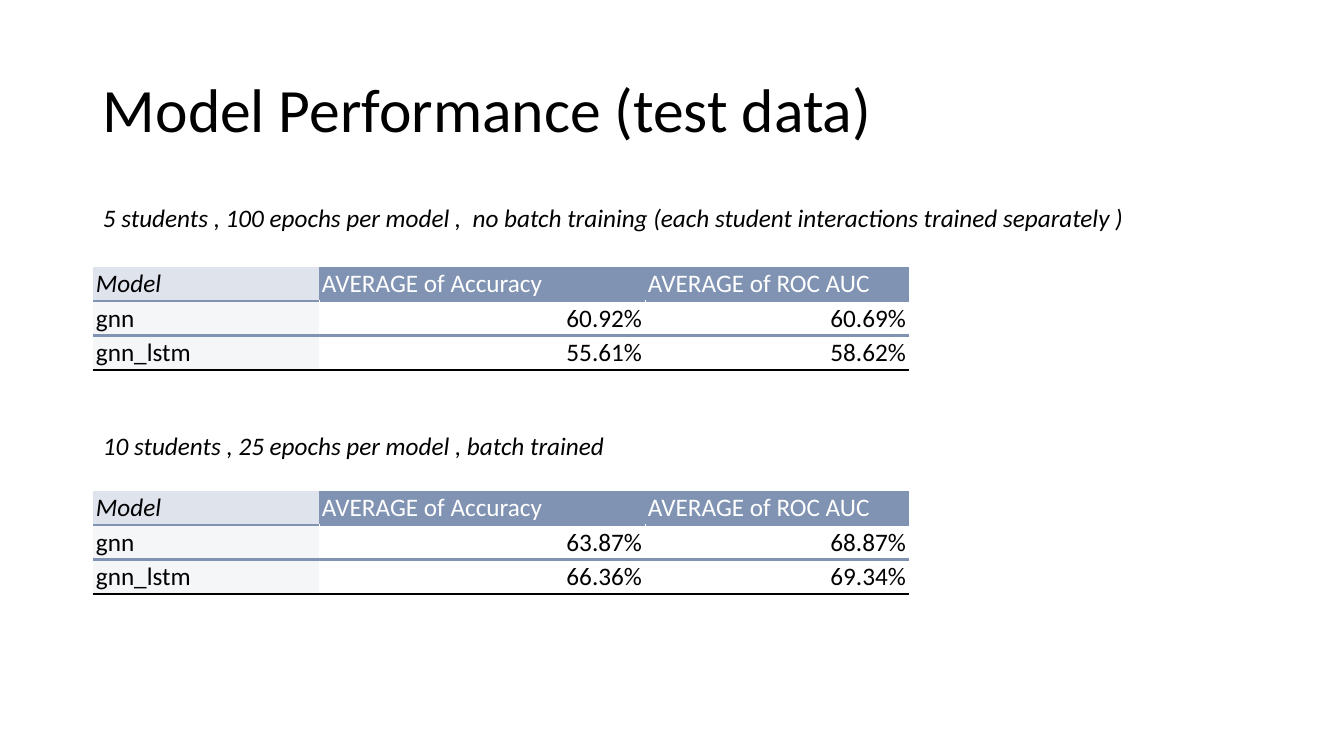
"""Build the slide comparing model performance on test data."""
from typing import NamedTuple

from lxml import etree
from pptx import Presentation
from pptx.dml.color import RGBColor
from pptx.enum.text import MSO_ANCHOR, PP_ALIGN
from pptx.oxml.ns import qn
from pptx.util import Emu, Pt

MIDDLE, TOP, BOTTOM = MSO_ANCHOR.MIDDLE, MSO_ANCHOR.TOP, MSO_ANCHOR.BOTTOM
LEFT, RIGHT = PP_ALIGN.LEFT, PP_ALIGN.RIGHT

FONT = "Calibri"
BLACK, WHITE = "000000", "FFFFFF"
HEADER, HEADER_LIGHT, MODEL_TINT = "8093B3", "DFE4EC", "F4F6F8"
NO_STYLE = "{2D5ABB26-0587-4C30-8999-92F81FD0307C}"

MARGIN = 93
COLUMN_WIDTHS = (226, 326, 264)
ROW_HEIGHT = 34
HEADINGS = ("Model", "AVERAGE of Accuracy", "AVERAGE of ROC AUC")


class Caption(NamedTuple):
    text: str
    top: int
    width: int
    height: int
    size: int
    italic: bool
    anchor: MSO_ANCHOR
    line_spacing: float


class Experiment(NamedTuple):
    setup: str
    setup_top: int
    results_top: int
    results: tuple[tuple[str, str, str], ...]


class Border(NamedTuple):
    side: str
    color: str
    points: float


EXPERIMENTS = (
    Experiment(
        "5 students , 100 epochs per model ,  no batch training "
        "(each student interactions trained separately )",
        197, 267,
        (("gnn", "60.92%", "60.69%"), ("gnn_lstm", "55.61%", "58.62%")),
    ),
    Experiment(
        "10 students , 25 epochs per model , batch trained",
        425, 491,
        (("gnn", "63.87%", "68.87%"), ("gnn_lstm", "66.36%", "69.34%")),
    ),
)


def px(pixels: int) -> Emu:
    return Emu(round(pixels * 914400 / 100.8))


def rgb(color: str) -> RGBColor:
    return RGBColor.from_string(color)


def style_font(paragraph, size: int, color: str, italic: bool) -> None:
    font = paragraph.font
    font.name, font.size, font.italic = FONT, Pt(size), italic
    font.color.rgb = rgb(color)


def add_caption(slide, caption: Caption) -> None:
    box = slide.shapes.add_textbox(
        px(MARGIN), px(caption.top), px(caption.width), px(caption.height))
    frame = box.text_frame
    frame.word_wrap = True
    frame.vertical_anchor = caption.anchor
    paragraph = frame.paragraphs[0]
    paragraph.text = caption.text
    paragraph.line_spacing = caption.line_spacing
    style_font(paragraph, caption.size, BLACK, caption.italic)


def add_border(cell, border: Border) -> None:
    properties = cell._tc.get_or_add_tcPr()
    line = etree.SubElement(properties, qn(f"a:ln{border.side}"),
                            w=str(int(Pt(border.points))))
    fill = etree.SubElement(line, qn("a:solidFill"))
    etree.SubElement(fill, qn("a:srgbClr"), val=border.color)


def cell_borders(row: int, column: int, last_row: int) -> list[Border]:
    borders = []
    if row > 0 and column < 2:
        borders.append(Border("R" if column == 0 else "L", WHITE, 0.6))
    if row == 1:
        borders.append(Border("T", HEADER, 1.8))
    if row == 0:
        borders.append(Border("B", HEADER, 1.8))
    elif row == last_row:
        borders.append(Border("B", BLACK, 1.8))
    return borders


def cell_fill(row: int, column: int) -> str:
    if row == 0:
        return HEADER_LIGHT if column == 0 else HEADER
    return MODEL_TINT if column == 0 else WHITE


def fill_cell(cell, text: str, row: int, column: int, last_row: int) -> None:
    cell.margin_left = cell.margin_right = px(3)
    cell.margin_top = cell.margin_bottom = px(2)
    cell.vertical_anchor = BOTTOM
    for border in cell_borders(row, column, last_row):
        add_border(cell, border)
    cell.fill.solid()
    cell.fill.fore_color.rgb = rgb(cell_fill(row, column))
    paragraph = cell.text_frame.paragraphs[0]
    paragraph.text = text
    paragraph.alignment = RIGHT if row and column else LEFT
    color = WHITE if row == 0 and column else BLACK
    style_font(paragraph, 18, color, row == column == 0)


def add_results(slide, experiment: Experiment) -> None:
    rows = (HEADINGS, *experiment.results)
    table = slide.shapes.add_table(
        len(rows), len(HEADINGS), px(MARGIN), px(experiment.results_top),
        px(sum(COLUMN_WIDTHS)), px(ROW_HEIGHT * len(rows))).table
    table.first_row = table.horz_banding = False
    table._tbl.tblPr.find(qn("a:tableStyleId")).text = NO_STYLE
    for column, width in zip(table.columns, COLUMN_WIDTHS):
        column.width = px(width)
    for row, texts in enumerate(rows):
        table.rows[row].height = px(ROW_HEIGHT)
        for column, text in enumerate(texts):
            fill_cell(table.cell(row, column), text, row, column, len(rows) - 1)


def main() -> None:
    presentation = Presentation()
    presentation.slide_width, presentation.slide_height = px(1344), px(756)
    slide = presentation.slides.add_slide(presentation.slide_layouts[6])
    add_caption(slide, Caption("Model Performance (test data)",
                               40, 1159, 146, 44, False, MIDDLE, 0.9))
    for experiment in EXPERIMENTS:
        add_results(slide, experiment)
        add_caption(slide, Caption(experiment.setup, experiment.setup_top,
                                   1099, 40, 18, True, TOP, 1.0))
    presentation.save("out.pptx")


main()
